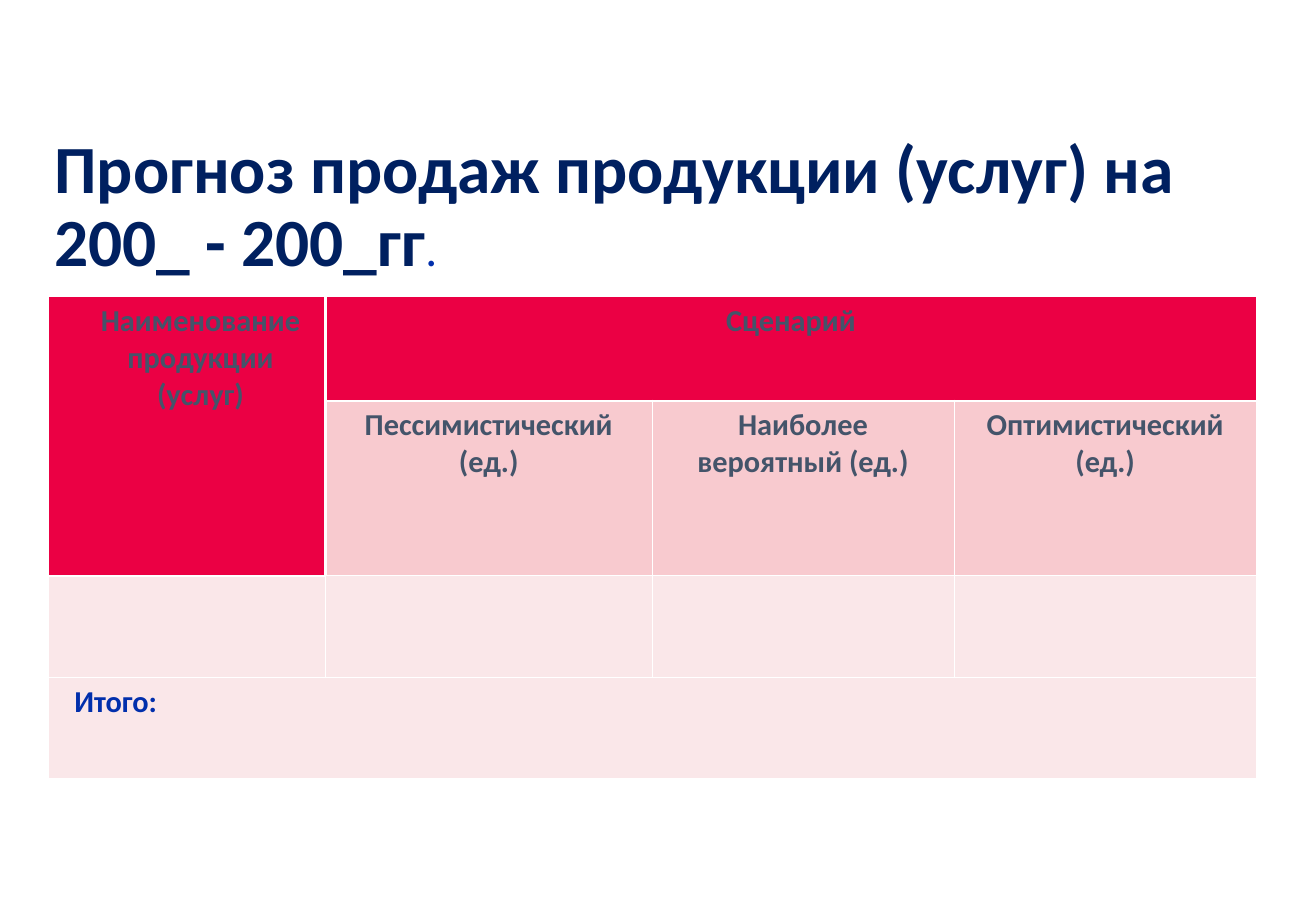
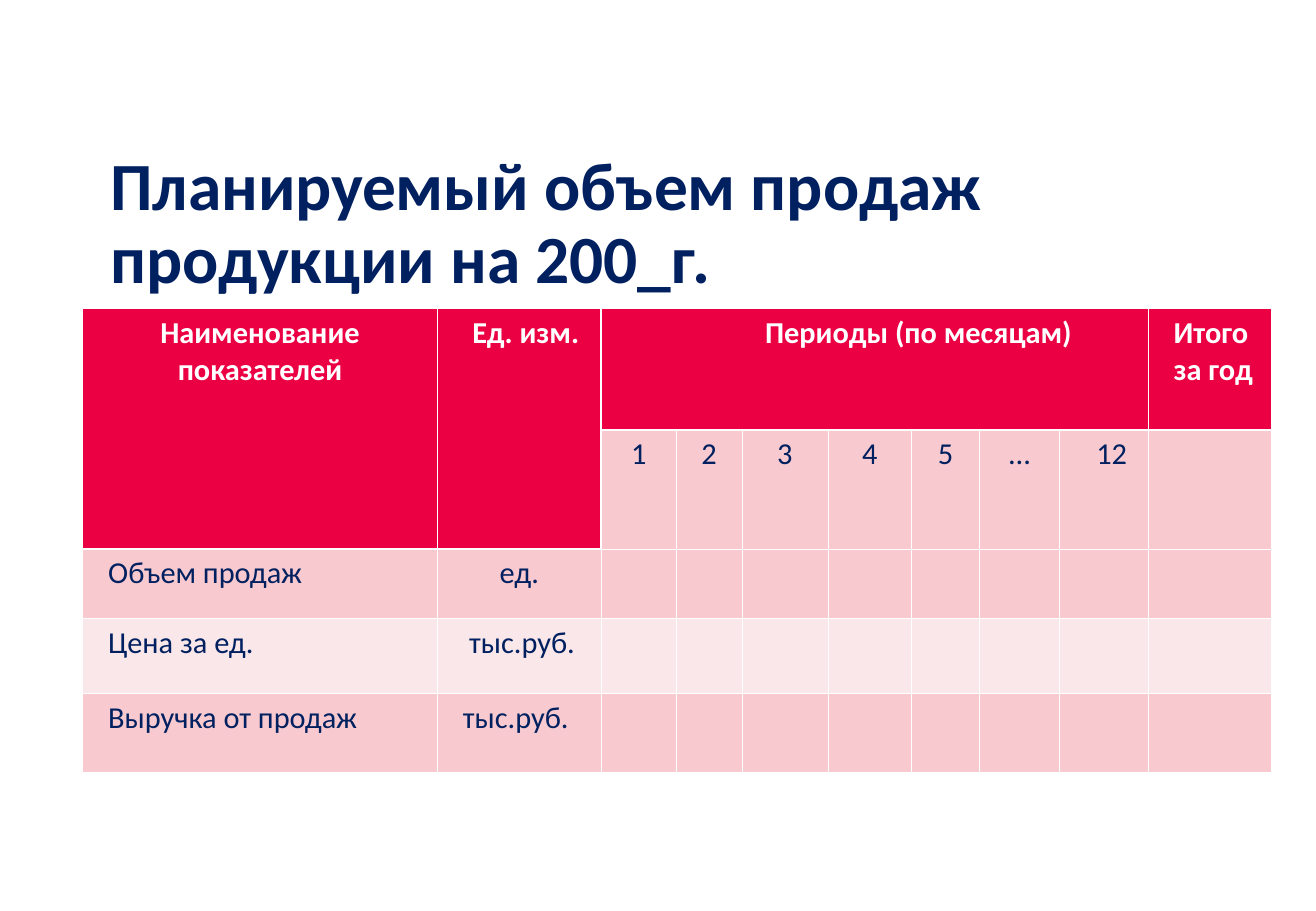
from lxml import etree
from pptx import Presentation
from pptx.dml.color import RGBColor
from pptx.enum.text import MSO_ANCHOR, PP_ALIGN
from pptx.oxml.ns import qn
from pptx.util import Cm, Pt

FONT = "Calibri"
NAVY = RGBColor(0x00, 0x20, 0x60)
BLUE = RGBColor(0x01, 0x2F, 0xAC)
SLATE = RGBColor(0x44, 0x54, 0x6A)
WHITE = RGBColor(0xFF, 0xFF, 0xFF)
RED = RGBColor(0xEB, 0x00, 0x44)
PINK = RGBColor(0xF8, 0xCA, 0xCF)
PALE = RGBColor(0xFA, 0xE7, 0xE9)
THIN, THICK = Pt(0.45), Pt(1.47)
HEADER_ROWS = 2
LEFT, CENTER = PP_ALIGN.LEFT, PP_ALIGN.CENTER

# Labels: row, column, text, alignment, left indent in cm, colour, bold
forecast = {
    "title": [("Прогноз продаж продукции (услуг) на 200_ - 200_гг", 40, NAVY, True),
              (".", 28, BLUE, False)],
    "title_box": (1.14, 2.77, 25.22, 3.12),
    "corner": (1.02, 6.2),
    "columns": [5.79, 6.83, 6.32, 6.32],
    "rows": [2.18, 3.66, 2.13, 2.11],
    "row_fills": [RED, PINK, PALE, PALE],
    "header_columns": 1,
    "merges": [(0, 0, 1, 0), (0, 1, 0, 3), (3, 0, 3, 3)],
    "labels": [
        (0, 0, "Наименование\vпродукции\v(услуг)", CENTER, 0.56, SLATE, True),
        (0, 1, "Сценарий", CENTER, 0, SLATE, True),
        (1, 1, "Пессимистический\v(ед.)", CENTER, 0, SLATE, True),
        (1, 2, "Наиболее\vвероятный (ед.)", CENTER, 0, SLATE, True),
        (1, 3, "Оптимистический\v(ед.)", CENTER, 0, SLATE, True),
        (3, 0, "Итого:", LEFT, 0.28, BLUE, True),
    ],
}
months = ["1", "2", "3", "4", "5", "…"]
sales_plan = {
    "title": [("Планируемый объем продаж продукции на 200_г.", 40, NAVY, True)],
    "title_box": (2.31, 3.15, 24.41, 3.1),
    "corner": (1.73, 6.45),
    "columns": [7.42, 3.43, 1.57, 1.37, 1.8, 1.75, 1.42, 1.68, 1.85, 2.57],
    "rows": [2.54, 2.49, 1.45, 1.57, 1.65],
    "row_fills": [RED, PINK, PINK, PALE, PINK],
    "header_columns": 2,
    "merges": [(0, 0, 1, 0), (0, 1, 1, 1), (0, 2, 0, 8)],
    "labels": [
        (0, 0, "Наименование\vпоказателей", CENTER, 0, WHITE, True),
        (0, 1, "Ед. изм.", LEFT, 0.48, WHITE, True),
        (0, 2, "Периоды (по месяцам)", CENTER, 1.83, WHITE, True),
        (0, 9, "Итого\vза год", LEFT, 0.28, WHITE, True),
        *[(1, column, month, CENTER, 0, NAVY, False)
          for column, month in enumerate(months, start=2)],
        (1, 8, "12", LEFT, 0.51, NAVY, False),
        (2, 0, "Объем продаж", LEFT, 0.28, NAVY, False),
        (2, 1, "ед.", CENTER, 0, NAVY, False),
        (3, 0, "Цена за ед.", LEFT, 0.28, NAVY, False),
        (3, 1, "тыс.руб.", LEFT, 0.41, NAVY, False),
        (4, 0, "Выручка от продаж", LEFT, 0.28, NAVY, False),
        (4, 1, "тыс.руб.", LEFT, 0.28, NAVY, False),
    ],
}


def set_borders(cell, thick_sides):
    """Draw white lines on all four sides, thick on the named ones."""
    properties = cell._tc.get_or_add_tcPr()
    for side in "LRTB":
        width = THICK if side in thick_sides else THIN
        line = etree.SubElement(properties, qn(f"a:ln{side}"), w=str(int(width)))
        fill = etree.SubElement(line, qn("a:solidFill"))
        etree.SubElement(fill, qn("a:srgbClr"), val=str(WHITE))


def set_font(font, size, colour, bold):
    font.name, font.size, font.bold = FONT, Pt(size), bold
    font.color.rgb = colour


prs = Presentation()
prs.slide_width, prs.slide_height = Cm(27.53), Cm(19.05)

for content in (forecast, sales_plan):
    slide = prs.slides.add_slide(prs.slide_layouts[6])

    title = slide.shapes.add_textbox(*map(Cm, content["title_box"])).text_frame
    title.word_wrap = True
    title.vertical_anchor = MSO_ANCHOR.MIDDLE
    title.margin_left = title.margin_right = title.margin_bottom = 0
    title.margin_top = Cm(0.03)
    heading = title.paragraphs[0]
    heading.line_spacing = 0.9
    heading.space_before = Pt(1)
    for text, size, colour, bold in content["title"]:
        run = heading.add_run()
        run.text = text
        set_font(run.font, size, colour, bold)

    widths, heights = content["columns"], content["rows"]
    table = slide.shapes.add_table(
        len(heights), len(widths), *map(Cm, content["corner"]),
        Cm(sum(widths)), Cm(sum(heights))).table
    table.first_row = table.horz_banding = False
    for column, width in zip(table.columns, widths):
        column.width = Cm(width)
    for row, height in zip(table.rows, heights):
        row.height = Cm(height)

    stub = content["header_columns"]
    for r, row_fill in enumerate(content["row_fills"]):
        for c in range(len(widths)):
            cell = table.cell(r, c)
            in_header, in_stub = r < HEADER_ROWS, c < stub
            thick = ""
            if in_header and c == stub:
                thick += "L"
            if in_header and c == stub - 1:
                thick += "R"
            if r == 1 or (r == HEADER_ROWS and in_stub):
                thick += "T"
            if r == 0 or (in_header and in_stub):
                thick += "B"
            set_borders(cell, thick)
            cell.fill.solid()
            cell.fill.fore_color.rgb = RED if in_header and in_stub else row_fill

    for top, left, bottom, right in content["merges"]:
        if (top, left) != (bottom, right):
            table.cell(top, left).merge(table.cell(bottom, right))

    for r, c, text, alignment, indent, colour, bold in content["labels"]:
        label = table.cell(r, c).text_frame.paragraphs[0]
        label.text = text
        label.alignment = alignment
        label.space_before = Pt(2.5)
        label._p.get_or_add_pPr().set("marL", str(int(Cm(indent))))
        set_font(label.font, 18, colour, bold)

prs.save("out.pptx")
